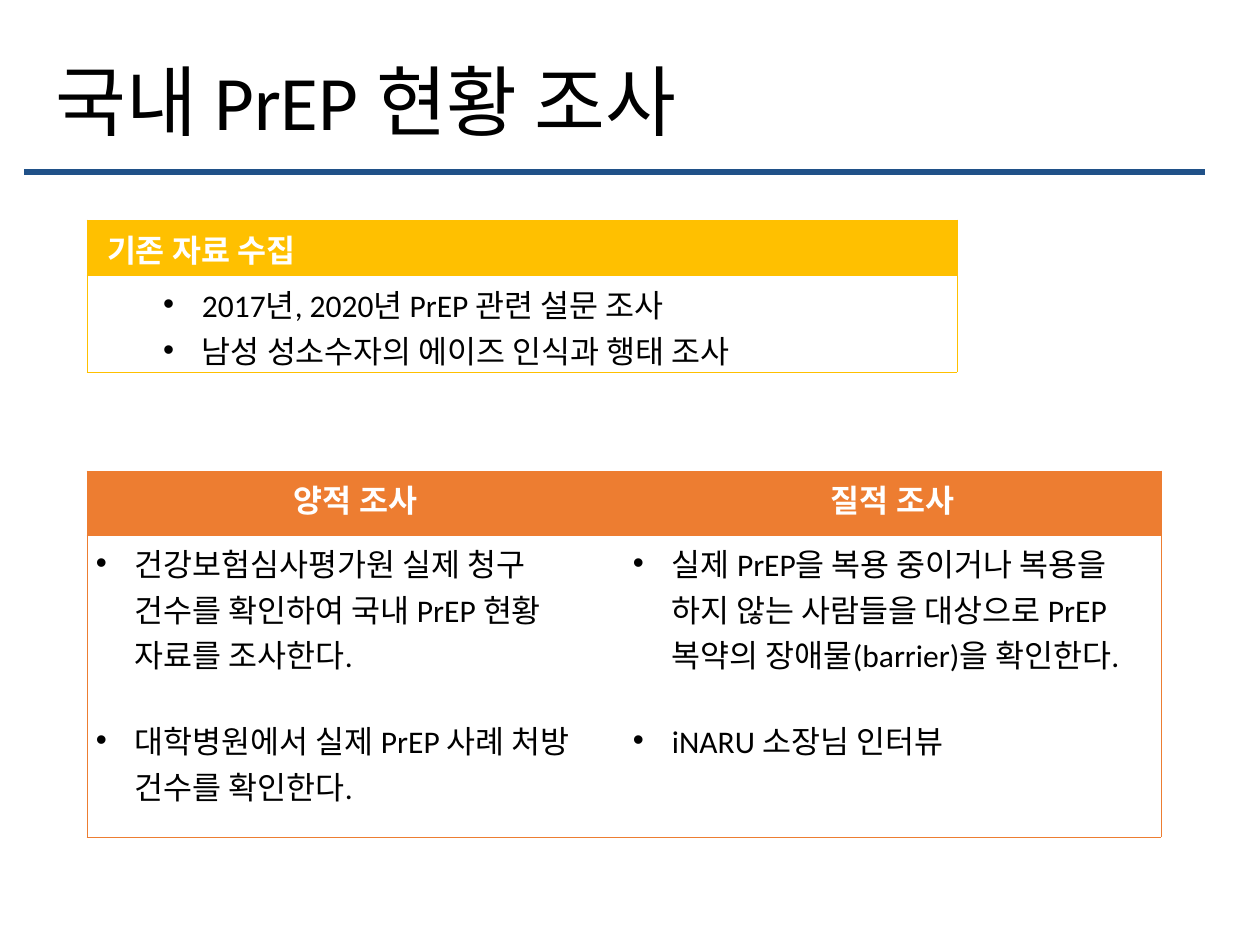
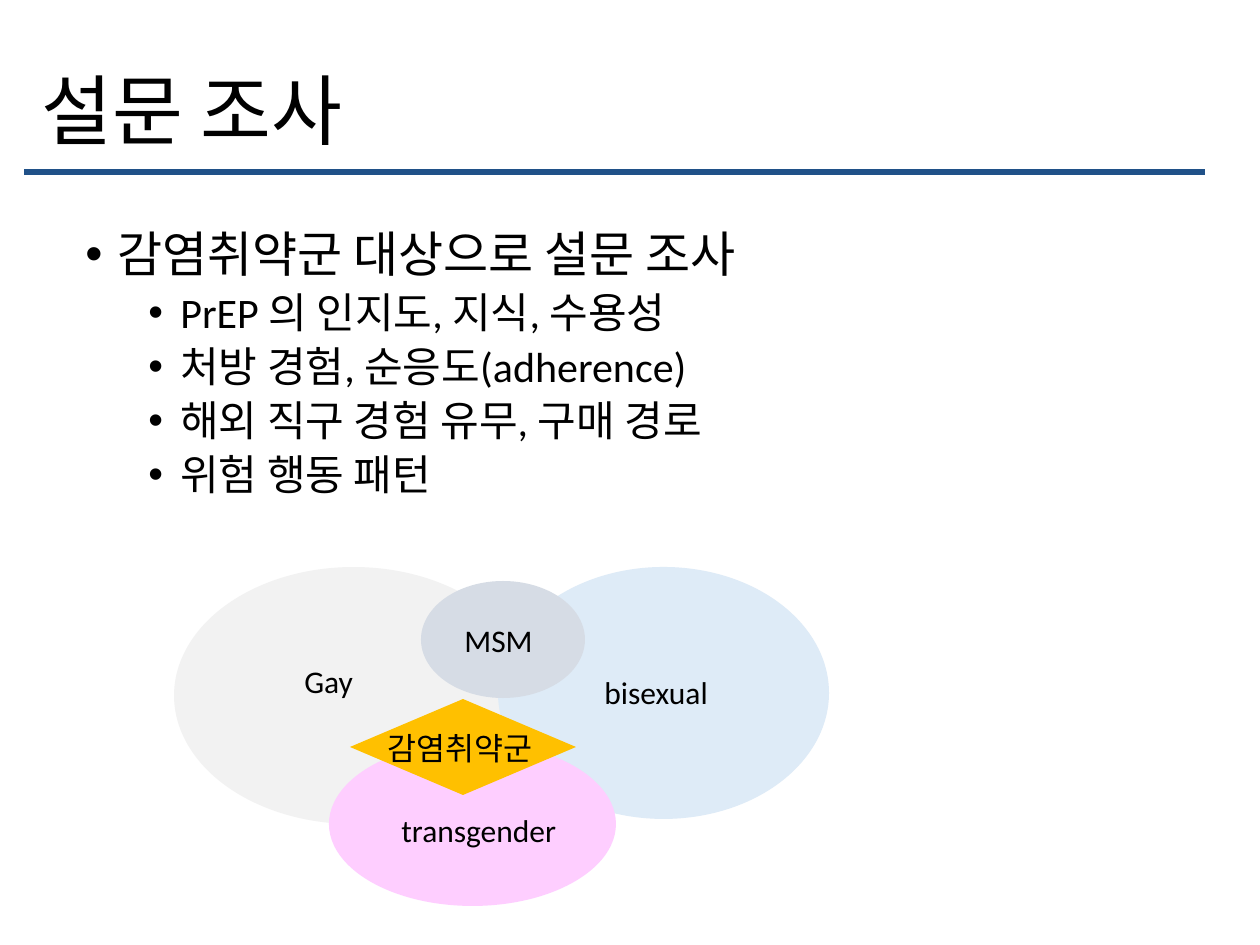
"""Build two slides on the domestic PrEP survey: study plan and questionnaire."""
from dataclasses import dataclass

from lxml import etree
from pptx import Presentation
from pptx.dml.color import RGBColor
from pptx.enum.shapes import MSO_SHAPE
from pptx.enum.text import MSO_ANCHOR, PP_ALIGN
from pptx.oxml.ns import qn
from pptx.util import Emu, Pt

RECTANGLE, OVAL, DIAMOND = MSO_SHAPE.RECTANGLE, MSO_SHAPE.OVAL, MSO_SHAPE.DIAMOND
MIDDLE = MSO_ANCHOR.MIDDLE
LEFT, CENTER = PP_ALIGN.LEFT, PP_ALIGN.CENTER
SCALE = 914400 / 126
PLAIN_TABLE = "{2D5ABB26-0587-4C30-8999-92F81FD0307C}"


@dataclass(frozen=True)
class Theme:
    font: str = "Calibri"
    ink: str = "000000"
    white: str = "FFFFFF"
    band: str = "205188"
    orange: str = "ED7D31"
    gold: str = "FFC000"
    grey: str = "F2F2F2"
    sky: str = "DEEBF7"
    pink: str = "FECEFF"
    slate: str = "D6DCE5"
    title: int = 44
    body: int = 28
    detail: int = 24
    label: int = 18


theme = Theme()


def px(*lengths):
    """Turn pixel lengths into a list of EMU."""
    return [Emu(round(length * SCALE)) for length in lengths]


def write(frame, text, size=theme.label, color=theme.ink, bold=False, align=LEFT,
          leading=None, before=0, bullet=None, level=0):
    """Add one paragraph; bullet is (left margin, hanging width) in px."""
    para = frame.add_paragraph() if frame.text else frame.paragraphs[0]
    para.alignment, para.level = align, level
    para.space_before = Pt(before)
    if leading:
        para.line_spacing = leading
    if bullet:
        margin, hanging = px(*bullet)
        props = para._p.get_or_add_pPr()
        props.set("marL", str(margin))
        props.set("indent", str(-hanging))
        etree.SubElement(props, qn("a:buFont"), typeface="Arial")
        etree.SubElement(props, qn("a:buChar"), char="•")
    span = para.add_run()
    span.text = text
    span.font.name, span.font.size, span.font.bold = theme.font, Pt(size), bold
    span.font.color.rgb = RGBColor.from_string(color)


deck = Presentation()
deck.slide_width, deck.slide_height = px(1260, 945)

pages = []
for title, left, top in [("국내 PrEP 현황 조사", 43, 14), ("설문 조사", 29, 23)]:
    page = deck.slides.add_slide(deck.slide_layouts[6])
    band = page.shapes.add_shape(RECTANGLE, *px(24, 169, 1181, 6))
    band.shadow.inherit = False
    band.fill.solid()
    band.fill.fore_color.rgb = RGBColor.from_string(theme.band)
    band.line.fill.background()
    box = page.shapes.add_textbox(*px(left, top, 1086, 183))
    box.text_frame.word_wrap = True
    box.text_frame.vertical_anchor = MIDDLE
    write(box.text_frame, title, size=theme.title, leading=0.9)
    pages.append(page)
plan_page, survey_page = pages

methods = {
    "양적 조사": ["건강보험심사평가원 실제 청구 건수를 확인하여 국내 PrEP 현황 자료를 조사한다.",
              "대학병원에서 실제 PrEP 사례 처방 건수를 확인한다."],
    "질적 조사": ["실제 PrEP을 복용 중이거나 복용을 하지 않는 사람들을 대상으로 PrEP 복약의 장애물(barrier)을 확인한다.",
              "iNARU 소장님 인터뷰"],
}
existing_data = {
    "기존 자료 수집": ["2017년, 2020년 PrEP 관련 설문 조사", "남성 성소수자의 에이즈 인식과 행태 조사"],
}
tables = [
    (methods, theme.orange, 471, 537, (64, 302), (9, 5), 9,
     dict(align=CENTER), dict(bullet=(39, 39)), 23),
    (existing_data, theme.gold, 220, 870, (55, 97), (13, 6), 20,
     dict(align=LEFT), dict(bullet=(102, 39), level=1), 0),
]
for content, color, top, column_width, heights, insets, head_inset, head, item, gap in tables:
    columns = len(content)
    holder = plan_page.shapes.add_table(
        2, columns, *px(87, top, column_width * columns, sum(heights)))
    table = holder.table
    for style in holder.element.iter(qn("a:tableStyleId")):
        style.text = PLAIN_TABLE
    for row, height in zip(table.rows, px(*heights)):
        row.height = height
    for index, (heading, points) in enumerate(content.items()):
        table.columns[index].width = px(column_width)[0]
        head_cell, body_cell = table.cell(0, index), table.cell(1, index)
        write(head_cell.text_frame, heading, color=theme.white, bold=True, **head)
        for order, point in enumerate(points):
            write(body_cell.text_frame, point, before=gap * order, **item)
        sides = {"L": index == 0, "R": index == columns - 1, "T": True, "B": True}
        for cell, fill, inset in [(head_cell, color, head_inset),
                                  (body_cell, theme.white, insets[0])]:
            cell.margin_left, cell.margin_right = px(inset, insets[0])
            cell.margin_top = cell.margin_bottom = px(insets[1])[0]
            cell.fill.solid()
            cell.fill.fore_color.rgb = RGBColor.from_string(fill)
            props = cell._tc.get_or_add_tcPr()
            edges = [side for side, drawn in sides.items() if drawn]
            for position, side in enumerate(edges):
                edge = etree.Element(qn(f"a:ln{side}"), w=str(Pt(0.5)))
                paint = etree.SubElement(edge, qn("a:solidFill"))
                etree.SubElement(paint, qn("a:srgbClr"), val=color)
                props.insert(position, edge)

topics = survey_page.shapes.add_textbox(*px(73, 224, 1086, 600)).text_frame
topics.word_wrap = True
write(topics, "감염취약군 대상으로 설문 조사", size=theme.body, leading=0.9, before=10,
      bullet=(32, 32))
for topic in ["PrEP 의 인지도, 지식, 수용성", "처방 경험, 순응도(adherence)",
              "해외 직구 경험 유무, 구매 경로", "위험 행동 패턴"]:
    write(topics, topic, size=theme.detail, leading=0.9, before=5,
          bullet=(95, 32), level=1)

groups = [
    ("Gay", OVAL, theme.grey, (174, 567, 359, 257), (292, 656, 256)),
    ("bisexual", OVAL, theme.sky, (498, 567, 331, 252), (592, 667, 190)),
    ("transgender", OVAL, theme.pink, (329, 742, 287, 164), (389, 805, 273)),
    ("감염취약군", DIAMOND, theme.gold, (350, 699, 226, 96), (375, 723, 188)),
    ("MSM", OVAL, theme.slate, (421, 581, 164, 117), (452, 615, 101)),
]
for name, kind, color, area, label_place in groups:
    group = survey_page.shapes.add_shape(kind, *px(*area))
    group.shadow.inherit = False
    group.fill.solid()
    group.fill.fore_color.rgb = RGBColor.from_string(color)
    group.line.fill.background()
    label = survey_page.shapes.add_textbox(*px(*label_place, 50))
    label.text_frame.word_wrap = True
    write(label.text_frame, name)

deck.save("out.pptx")
